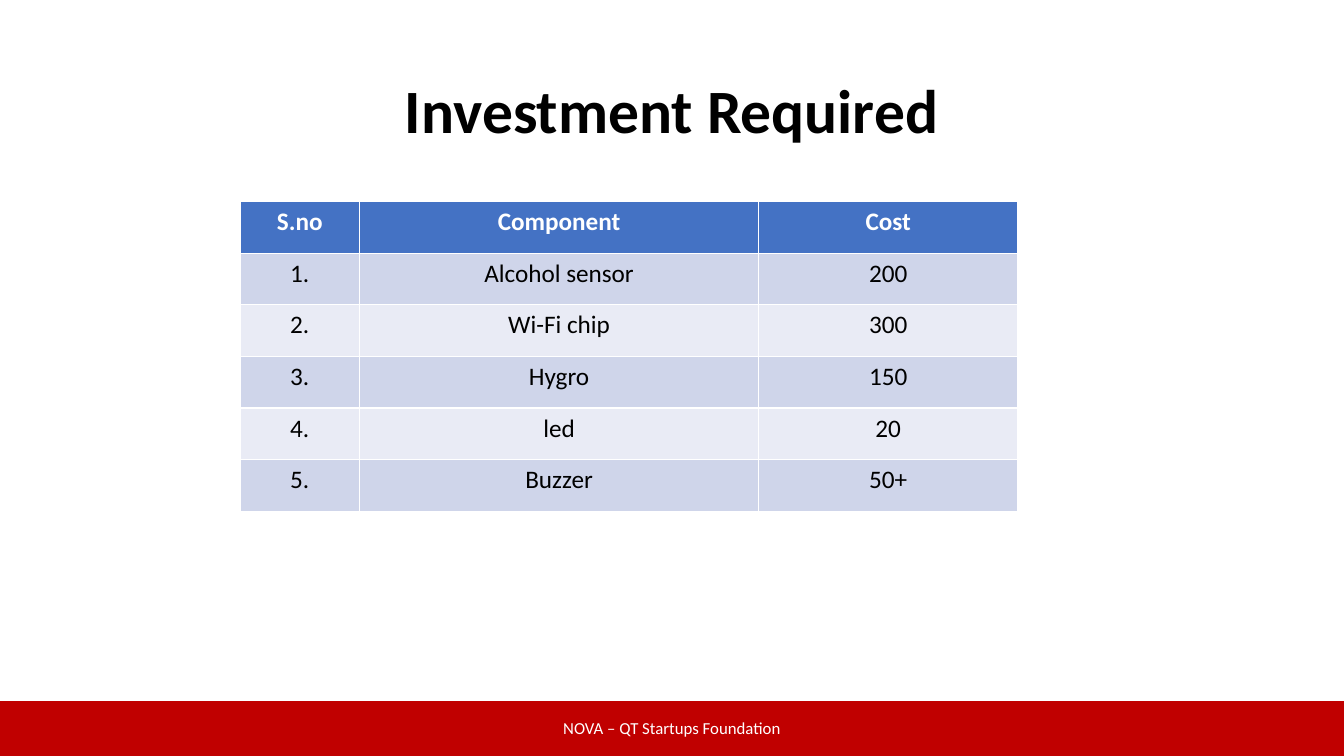
"""Build the Investment Required slide with its cost table and footer band."""
from pptx import Presentation
from pptx.dml.color import RGBColor
from pptx.enum.shapes import MSO_SHAPE
from pptx.enum.text import MSO_ANCHOR, PP_ALIGN
from pptx.util import Cm, Pt


def color(value):
    return RGBColor.from_string(value)


def write_text(text_frame, text, size, text_color, bold=False):
    text_frame.word_wrap = True
    paragraph = text_frame.paragraphs[0]
    paragraph.text = text
    paragraph.alignment = PP_ALIGN.CENTER
    paragraph.font.name = "Calibri"
    paragraph.font.size = Pt(size)
    paragraph.font.bold = bold
    paragraph.font.color.rgb = color(text_color)
    return paragraph


presentation = Presentation()
presentation.slide_width = Cm(33.87)
presentation.slide_height = Cm(19.05)
slide = presentation.slides.add_slide(presentation.slide_layouts[6])

footer_band = slide.shapes.add_shape(MSO_SHAPE.RECTANGLE, Cm(-0.03), Cm(17.68), Cm(34), Cm(1.4))
footer_band.shadow.inherit = False
footer_band.fill.solid()
footer_band.fill.fore_color.rgb = color("C00000")
footer_band.line.color.rgb = color("C00000")
footer_band.line.width = Pt(1)

footer = slide.shapes.add_textbox(Cm(11.22), Cm(17.84), Cm(11.43), Cm(1.01))
footer.text_frame.vertical_anchor = MSO_ANCHOR.MIDDLE
write_text(footer.text_frame, "NOVA – QT Startups Foundation", 12, "FFFFFF")

title = slide.shapes.add_textbox(Cm(2.33), Cm(1.01), Cm(29.21), Cm(3.68))
title.text_frame.vertical_anchor = MSO_ANCHOR.MIDDLE
title_paragraph = write_text(title.text_frame, "Investment Required", 44, "000000", bold=True)
title_paragraph.line_spacing = 0.9

cost_rows = [
    ("S.no", "Component", "Cost"),
    ("1.", "Alcohol sensor", "200"),
    ("2.", "Wi-Fi chip", "300"),
    ("3.", "Hygro", "150"),
    ("4.", "led", "20"),
    ("5.", "Buzzer", "50+"),
]
column_widths = [3.01, 10.06, 6.53]
row_height = 1.3
table = slide.shapes.add_table(
    len(cost_rows), len(column_widths), Cm(6.05), Cm(5.08),
    Cm(sum(column_widths)), Cm(row_height * len(cost_rows)),
).table
for column, width in zip(table.columns, column_widths):
    column.width = Cm(width)

for row_index, values in enumerate(cost_rows):
    is_header = row_index == 0
    table.rows[row_index].height = Cm(row_height)
    band_color = "CFD5EA" if row_index % 2 else "E9EBF5"
    for column_index, value in enumerate(values):
        cell = table.cell(row_index, column_index)
        cell.fill.solid()
        cell.fill.fore_color.rgb = color("4472C4" if is_header else band_color)
        write_text(cell.text_frame, value, 18, "FFFFFF" if is_header else "000000", bold=is_header)

presentation.save("out.pptx")
